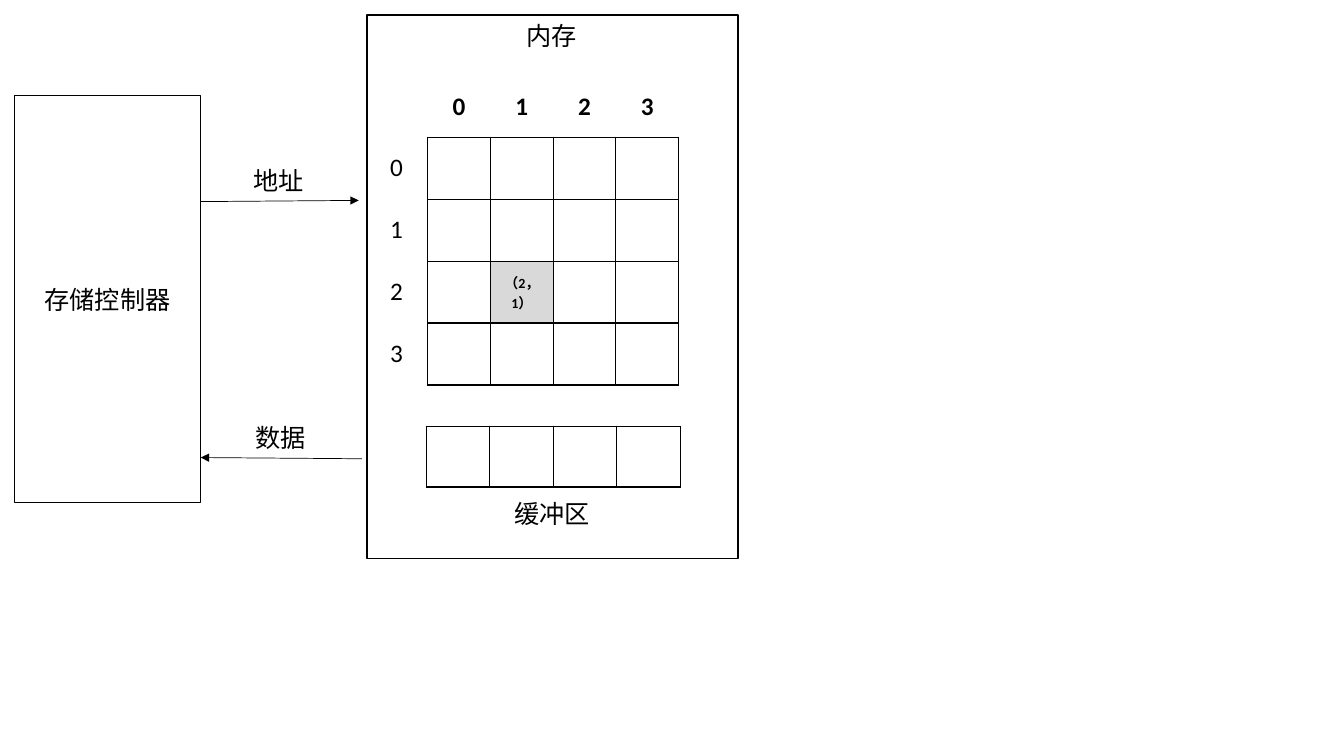
from typing import NamedTuple

from lxml import etree
from pptx import Presentation
from pptx import util as u
from pptx.dml import color
from pptx.enum import shapes, text
from pptx.oxml import ns

COLOURS = {"ink": "000000", "selected": "D9D9D9"}
FONT = "Calibri"
SIDES = {"left": "a:lnL", "right": "a:lnR", "top": "a:lnT", "bottom": "a:lnB"}


class Area(NamedTuple):
    left: float
    top: float
    width: float
    height: float


class Label(NamedTuple):
    words: str
    area: Area


class Arrow(NamedTuple):
    start: tuple[float, float]
    end: tuple[float, float]


class Grid(NamedTuple):
    left: float
    top: float
    rows: int
    columns: int
    cell_width: float
    cell_height: float


def rgb(name: str) -> color.RGBColor:
    return color.RGBColor.from_string(COLOURS[name])


def lengths(*values: float) -> list[u.Length]:
    return [u.Cm(value) for value in values]


def write(frame, words: str, size: float = 18, bold: bool = False) -> None:
    frame.text = words
    para = frame.paragraphs[0]
    para.alignment = text.PP_ALIGN.CENTER
    for span in para.runs:
        span.font.name = FONT
        span.font.size = u.Pt(size)
        span.font.bold = bold
        span.font.color.rgb = rgb("ink")


def add_frame(page, label: Label) -> None:
    box = page.shapes.add_shape(shapes.MSO_SHAPE.RECTANGLE, *lengths(*label.area))
    box.shadow.inherit = False
    box.fill.background()
    box.line.color.rgb = rgb("ink")
    box.line.width = u.Pt(1)
    box.text_frame.vertical_anchor = text.MSO_ANCHOR.MIDDLE
    if label.words:
        write(box.text_frame, label.words)


def add_label(page, label: Label) -> None:
    box = page.shapes.add_textbox(*lengths(*label.area))
    box.text_frame.word_wrap = True
    write(box.text_frame, label.words)


def add_arrow(page, arrow: Arrow) -> None:
    line = page.shapes.add_connector(
        shapes.MSO_CONNECTOR.STRAIGHT, *lengths(*arrow.start, *arrow.end))
    line.line.color.rgb = rgb("ink")
    line.line.width = u.Pt(0.5)
    etree.SubElement(line.line._get_or_add_ln(), ns.qn("a:tailEnd"), type="triangle")
    etree.SubElement(line._element.spPr, ns.qn("a:effectLst"))


def set_borders(cell, visible: set[str]) -> None:
    properties = cell._tc.get_or_add_tcPr()
    for side, tag in SIDES.items():
        border = etree.SubElement(properties, ns.qn(tag), w=str(u.Pt(1)))
        if side in visible:
            fill = etree.SubElement(border, ns.qn("a:solidFill"))
            etree.SubElement(fill, ns.qn("a:srgbClr"), val=COLOURS["ink"])
        else:
            etree.SubElement(border, ns.qn("a:noFill"))


def add_grid(page, grid: Grid, headed: bool = False):
    size = (grid.columns * grid.cell_width, grid.rows * grid.cell_height)
    table = page.shapes.add_table(
        grid.rows, grid.columns, *lengths(grid.left, grid.top, *size)).table
    table.first_row = table.horz_banding = False
    for column in table.columns:
        column.width = u.Cm(grid.cell_width)
    for row_number, row in enumerate(table.rows):
        row.height = u.Cm(grid.cell_height)
        for column_number, cell in enumerate(row.cells):
            visible = set(SIDES)
            # Header cells only show the edge they share with the body
            if headed and 0 in (row_number, column_number):
                visible = set()
                if column_number:
                    visible = {"bottom"}
                elif row_number:
                    visible = {"right"}
            set_borders(cell, visible)
            cell.fill.background()
            cell.vertical_anchor = text.MSO_ANCHOR.MIDDLE
    return table


deck = Presentation()
deck.slide_width, deck.slide_height = lengths(33.87, 19.05)
page = deck.slides.add_slide(deck.slide_layouts[6])

# Memory cells with row and column numbers
memory = add_grid(page, Grid(9.2, 1.9, 5, 5, 1.58, 1.56), headed=True)
for number in range(4):
    write(memory.cell(0, number + 1).text_frame, str(number), bold=True)
    write(memory.cell(number + 1, 0).text_frame, str(number))
selected = memory.cell(3, 2)
write(selected.text_frame, "（2，1）", size=10, bold=True)
selected.fill.solid()
selected.fill.fore_color.rgb = rgb("selected")

# Buffer row
add_grid(page, Grid(10.74, 10.74, 1, 4, 1.6, 1.53))

# Controller and memory outlines
for frame in (
    Label("存储控制器", Area(0.36, 2.41, 4.7, 10.26)),
    Label("", Area(9.25, 0.38, 9.35, 13.69)),
):
    add_frame(page, frame)

# Address and data arrows
for arrow in (
    Arrow((5.06, 5.08), (9.04, 5.05)),
    Arrow((9.12, 11.56), (5.06, 11.53)),
):
    add_arrow(page, arrow)

# Captions
for label in (
    Label("内存", Area(13, 0.38, 1.8, 1.07)),
    Label("缓冲区", Area(11.89, 12.42, 4.06, 1.07)),
    Label("地址", Area(5.72, 4.04, 2.59, 1.02)),
    Label("数据", Area(5.77, 10.52, 2.59, 1.02)),
):
    add_label(page, label)

deck.save("out.pptx")
